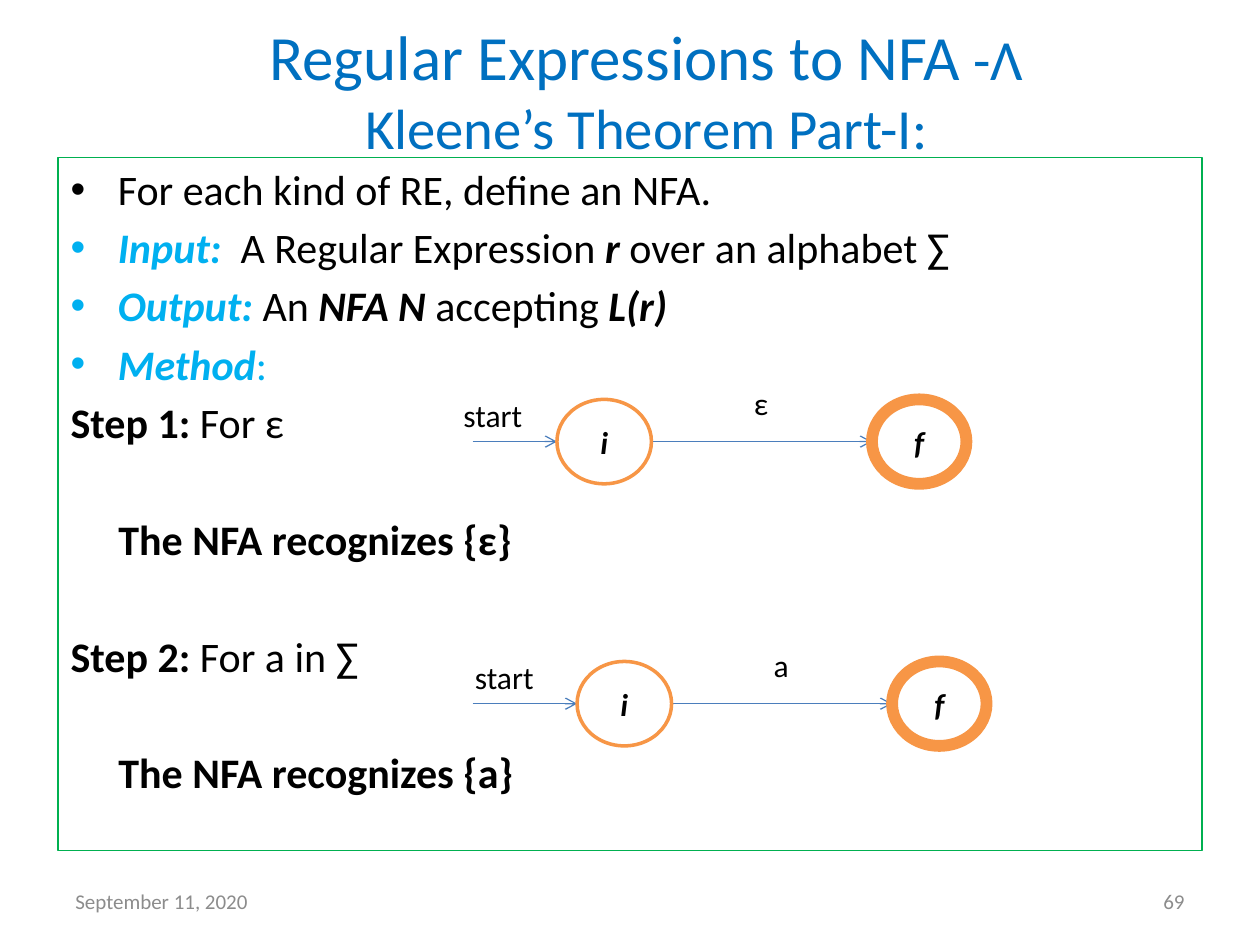
from lxml.etree import SubElement
from pptx import Presentation
from pptx.dml.color import RGBColor
from pptx.enum.shapes import MSO_CONNECTOR, MSO_SHAPE
from pptx.enum.text import MSO_ANCHOR, MSO_AUTO_SIZE, PP_ALIGN
from pptx.oxml.ns import qn
from pptx.util import Inches, Pt

COLORS = {
    "black": "000000", "white": "FFFFFF", "title": "0070C0", "term": "00B0F0",
    "frame": "00B050", "footer": "8C8C8C", "arrow": "4B7EBC", "state": "F79646",
}
FONT = "Calibri"
BODY_SIZE = 24
LINE_GAP = 4.4
SECTION_GAP = 38
NODE_WIDTH, NODE_HEIGHT = 0.75, 0.67
NODE_DISTANCE = 2.5

BODY = [
    ("bullet", LINE_GAP, [("For each kind of RE, define an NFA.", "plain")]),
    ("bullet", LINE_GAP, [("Input:", "term"), ("  A Regular Expression ", "plain"),
                          ("r", "symbol"), (" over an alphabet ∑", "plain")]),
    ("bullet", LINE_GAP, [("Output:", "term"), (" An ", "plain"), ("NFA N ", "symbol"),
                          ("accepting ", "plain"), ("L(r)", "symbol")]),
    ("bullet", LINE_GAP, [("Method", "term"), (":", "colon")]),
    ("step", LINE_GAP, [("Step 1: ", "bold"), ("For ε", "plain")]),
    ("result", SECTION_GAP, [("The NFA recognizes {ε}", "bold")]),
    ("step", SECTION_GAP, [("Step 2: ", "bold"), ("For a in ∑", "plain")]),
    ("result", SECTION_GAP, [("The NFA recognizes {a}", "bold")]),
]
RUN_STYLES = {
    "plain": ("black", False, False),
    "bold": ("black", True, False),
    "symbol": ("black", True, True),
    "term": ("term", True, True),
    "colon": ("term", False, False),
}


class SlideBuilder:
    def __init__(self, slide):
        self.slide = slide

    def color(self, name):
        return RGBColor.from_string(COLORS[name])

    def place(self, shape, left, top, width, height):
        shape.left, shape.top = Inches(left), Inches(top)
        shape.width, shape.height = Inches(width), Inches(height)

    def run(self, paragraph, text, size, color="black", bold=False, italic=False):
        run = paragraph.add_run()
        run.text = text
        run.font.name = FONT
        run.font.size = Pt(size)
        run.font.bold = bold
        run.font.italic = italic
        run.font.color.rgb = self.color(color)

    def title(self):
        shape = self.slide.shapes.title
        self.place(shape, 0.67, 0.17, 8.92, 1)
        frame = shape.text_frame
        frame.auto_size = MSO_AUTO_SIZE.NONE
        frame.vertical_anchor = MSO_ANCHOR.MIDDLE
        frame.margin_top, frame.margin_bottom = Inches(0.08), 0
        paragraph = frame.paragraphs[0]
        paragraph.alignment = PP_ALIGN.CENTER
        self.run(paragraph, "Regular Expressions to NFA", 36, "title")
        self.run(paragraph, " -Ʌ", 32.4, "title")
        paragraph.add_line_break()
        self.run(paragraph, "Kleene’s Theorem Part-I:", 32.4, "title")

    def body(self, lines):
        shape = self.slide.placeholders[1]
        self.place(shape, 0.46, 1.25, 9.08, 5.5)
        shape.line.color.rgb = self.color("frame")
        shape.line.width = Pt(0.75)
        frame = shape.text_frame
        frame.auto_size = MSO_AUTO_SIZE.NONE
        for index, (kind, gap, runs) in enumerate(lines):
            paragraph = frame.add_paragraph() if index else frame.paragraphs[0]
            if kind != "bullet":
                properties = paragraph._p.get_or_add_pPr()
                properties.set("marL", str(Inches(0.38 if kind == "result" else 0)))
                properties.set("indent", "0")
                SubElement(properties, qn("a:buNone"))
            paragraph.space_before = Pt(gap if index else 0)
            for text, style in runs:
                self.run(paragraph, text, BODY_SIZE, *RUN_STYLES[style])

    def text(self, shapes, box, text, size, color="black", align=PP_ALIGN.LEFT,
             anchor=MSO_ANCHOR.TOP):
        frame = shapes.add_textbox(*map(Inches, box)).text_frame
        frame.word_wrap = True
        frame.vertical_anchor = anchor
        paragraph = frame.paragraphs[0]
        paragraph.alignment = align
        self.run(paragraph, text, size, color)

    def arrow(self, shapes, start, end, y):
        connector = shapes.add_connector(
            MSO_CONNECTOR.STRAIGHT, Inches(start), Inches(y), Inches(end), Inches(y))
        connector.line.color.rgb = self.color("arrow")
        connector.line.width = Pt(0.75)
        SubElement(connector.line._get_or_add_ln(), qn("a:tailEnd"), type="arrow")
        SubElement(connector._element.spPr, qn("a:effectLst"))

    def state(self, shapes, left, top, name, line_width):
        shape = shapes.add_shape(MSO_SHAPE.OVAL, Inches(left), Inches(top),
                                 Inches(NODE_WIDTH), Inches(NODE_HEIGHT))
        shape.shadow.inherit = False
        shape.fill.solid()
        shape.fill.fore_color.rgb = self.color("white")
        shape.line.color.rgb = self.color("state")
        shape.line.width = Pt(line_width)
        shape.text_frame.vertical_anchor = MSO_ANCHOR.MIDDLE
        paragraph = shape.text_frame.paragraphs[0]
        paragraph.alignment = PP_ALIGN.CENTER
        self.run(paragraph, name, 18, bold=True, italic=True)

    def automaton(self, left, top, start_left, symbol):
        shapes = self.slide.shapes.add_group_shape().shapes
        middle = top + NODE_HEIGHT / 2
        final_left = left + NODE_DISTANCE
        self.arrow(shapes, 3.75, left, middle)
        self.arrow(shapes, left + NODE_WIDTH, final_left, middle)
        self.state(shapes, left, top, "i", 2)
        self.state(shapes, final_left, top, "f", 6.75)
        self.text(shapes, (left + 1.08, top - 0.17, 1.08, 0.51), symbol, 18,
                  align=PP_ALIGN.CENTER)
        self.text(shapes, (start_left, top - 0.08, 1.08, 0.51), "start", 18)

    def footer(self, left, text, align):
        self.text(self.slide.shapes, (left, 6.95, 2.33, 0.4), text, 12, "footer",
                  align, MSO_ANCHOR.MIDDLE)


def main():
    presentation = Presentation()
    presentation.slide_width, presentation.slide_height = Inches(10), Inches(7.5)
    slide = presentation.slides.add_slide(presentation.slide_layouts[1])
    builder = SlideBuilder(slide)
    builder.title()
    builder.body(BODY)
    builder.footer(7.17, "69", PP_ALIGN.RIGHT)
    builder.footer(0.5, "September 11, 2020", PP_ALIGN.LEFT)
    builder.automaton(4.42, 3.17, 3.58, "ε")
    builder.automaton(4.58, 5.25, 3.67, "a")
    presentation.save("out.pptx")


if __name__ == "__main__":
    main()
